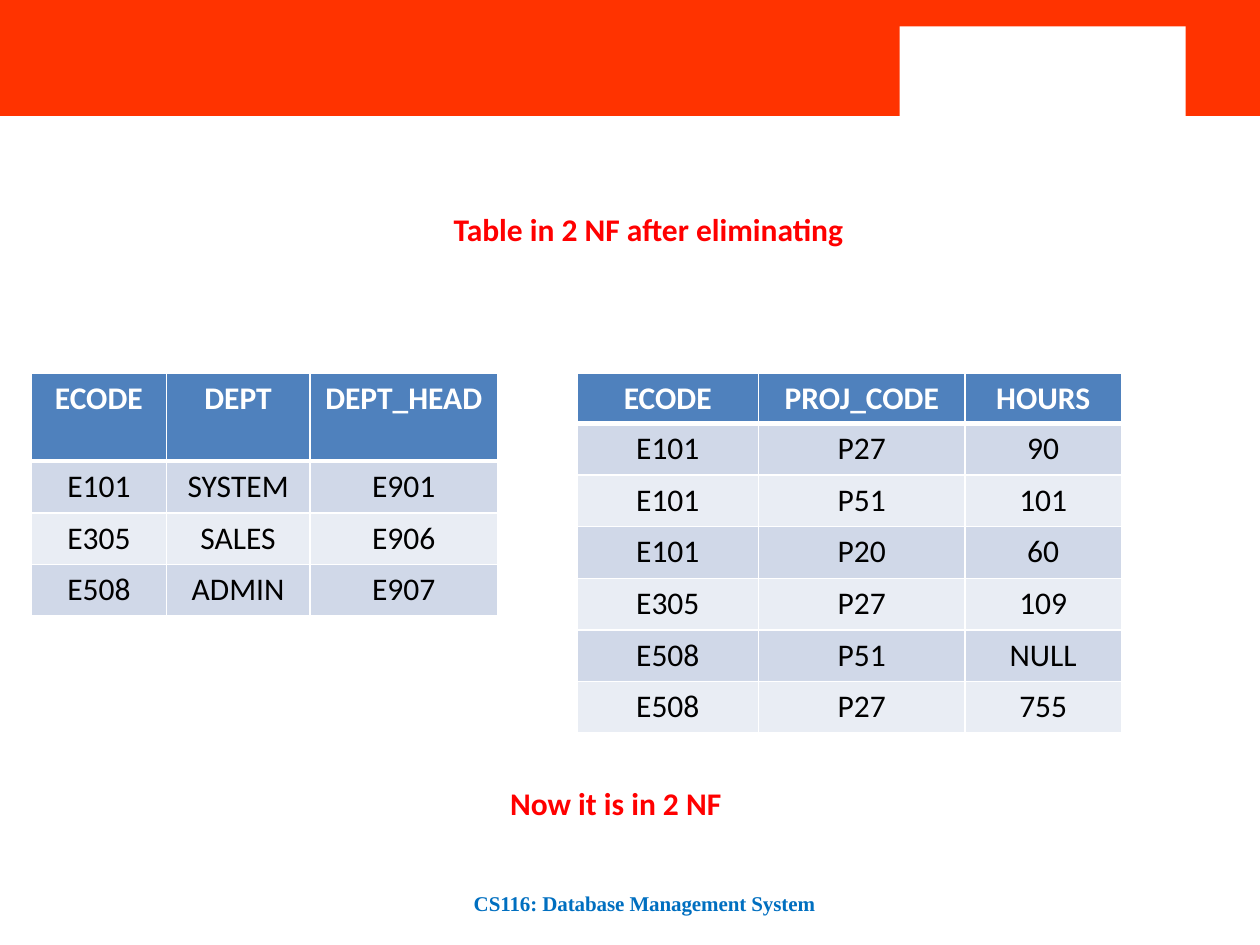
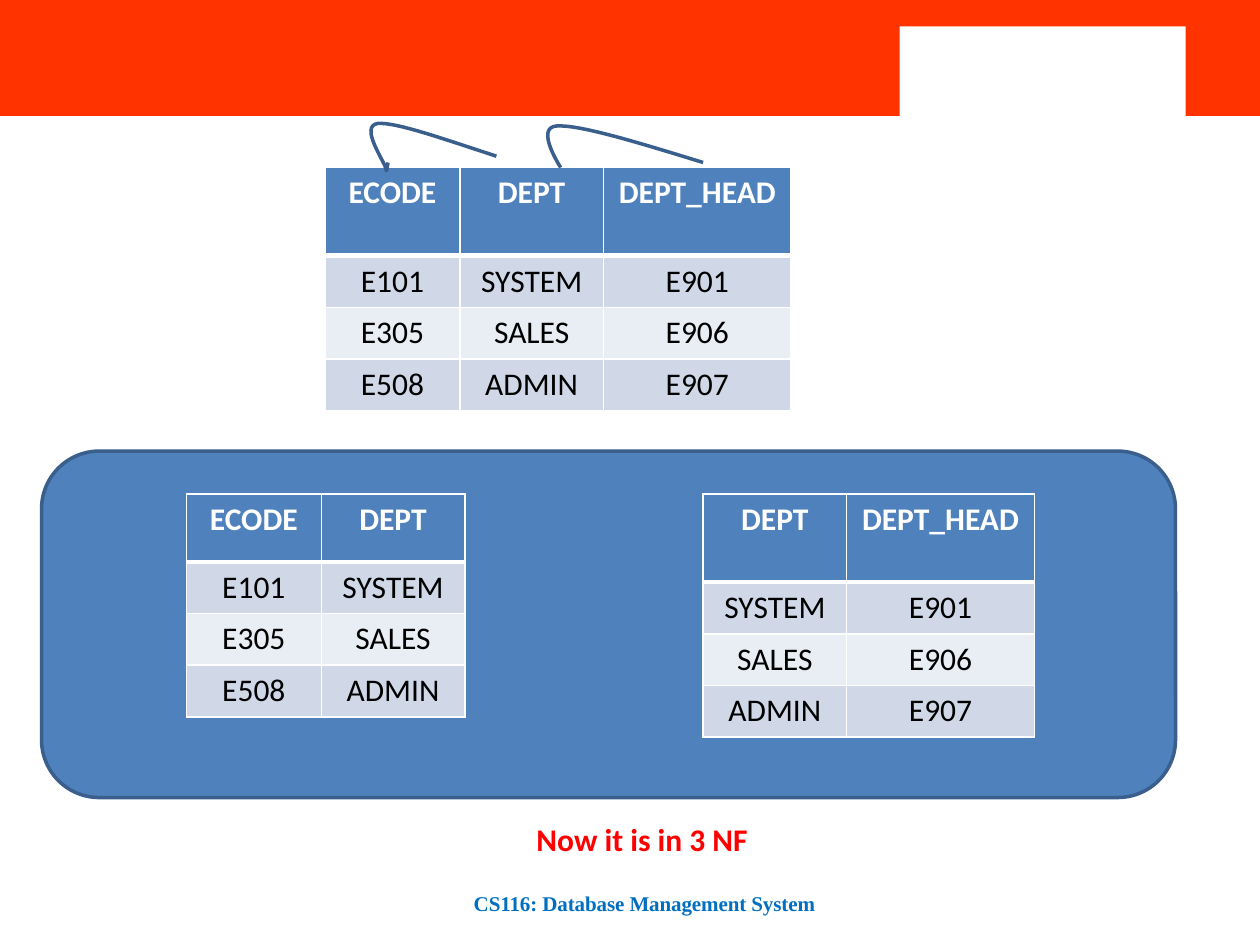
from lxml.etree import SubElement
from pptx import Presentation
from pptx.dml.color import RGBColor
from pptx.enum.shapes import MSO_SHAPE
from pptx.enum.text import MSO_ANCHOR, MSO_AUTO_SIZE, PP_ALIGN
from pptx.oxml.ns import qn
from pptx.util import Inches, Pt

COLORS = {
    "band": "FF3300",
    "white": "FFFFFF",
    "black": "000000",
    "red": "FF0000",
    "footer": "006FC0",
    "header": "4F81BD",
    "outline": "3A5F8C",
    "odd": "D0D8E8",
    "even": "E9EDF4",
}
BANDS = [
    ("band", 0, 0, 10, 0.92),
    ("band", 6.72, 0, 3.28, 0.92),
    ("white", 7.14, 0.21, 2.27, 0.75),
]
FOOTER = "CS116: Database Management System"
BLANK, TITLE_ONLY = 6, 5
ROW_HEIGHT = 0.41
CURVE_STEPS = 16

DEPT_WIDTHS = [1.07, 1.14, 1.49]
DEPT_ROWS = [
    ["ECODE", "DEPT", "DEPT_HEAD"],
    ["E101", "SYSTEM", "E901"],
    ["E305", "SALES", "E906"],
    ["E508", "ADMIN", "E907"],
]
PROJECT_WIDTHS = [1.44, 1.64, 1.24]
PROJECT_ROWS = [
    ["ECODE", "PROJ_CODE", "HOURS"],
    ["E101", "P27", "90"],
    ["E101", "P51", "101"],
    ["E101", "P20", "60"],
    ["E305", "P27", "109"],
    ["E508", "P51", "NULL"],
    ["E508", "P27", "755"],
]
DEPT_TO_HEAD = [
    (5.58, 1.29), (5.09, 1.14), (4.61, 0.99), (4.42, 1),
    (4.24, 1.01), (4.45, 1.33), (4.45, 1.33),
]
ECODE_TO_DEPT = [
    (3.94, 1.24), (3.54, 1.11), (3.15, 0.97), (3, 0.98),
    (2.85, 1), (3.05, 1.28), (3.06, 1.33),
    (3.07, 1.38), (3.07, 1.34), (3.08, 1.29),
]


def rgb(name):
    """Return the named palette colour."""
    return RGBColor.from_string(COLORS[name])


def bezier(a, b, c, d, t):
    """Return the point at t on a cubic curve."""
    u = 1 - t
    return tuple(
        u**3 * p + 3 * u * u * t * q + 3 * u * t * t * r + t**3 * s
        for p, q, r, s in zip(a, b, c, d)
    )


class Deck:
    """Holds the shared style and the slide being built."""

    def __init__(self):
        """Open an empty presentation."""
        self.prs = Presentation()
        self.prs.slide_width, self.prs.slide_height = Inches(10), Inches(7.5)

    def new_slide(self, layout=BLANK):
        """Start a slide with its bands and footer."""
        self.s = self.prs.slides.add_slide(self.prs.slide_layouts[layout])
        for color, *box in BANDS:
            self.shape(MSO_SHAPE.RECTANGLE, box, color)
        self.footer()

    def shape(self, kind, box, fill, line=None):
        """Add a filled preset shape."""
        sp = self.s.shapes.add_shape(kind, *map(Inches, box))
        sp.shadow.inherit = False
        sp.fill.solid()
        sp.fill.fore_color.rgb = rgb(fill)
        self.outline(sp, line)

    def outline(self, sp, line):
        """Set or remove the outline of a shape."""
        if line:
            sp.line.color.rgb = rgb(line)
            sp.line.width = Pt(2)
        else:
            sp.line.fill.background()

    def run(self, p, text, color, size=18, bold=True, font="Calibri"):
        """Add a formatted run to a paragraph."""
        r = p.add_run()
        r.text = text
        r.font.name, r.font.size, r.font.bold = font, Pt(size), bold
        r.font.color.rgb = rgb(color)
        return r

    def footer(self):
        """Add the course name at the foot."""
        sp = self.s.shapes.add_textbox(*map(Inches, (3.75, 7.07, 3.08, 0.2)))
        tf = sp.text_frame
        tf.word_wrap = True
        tf.margin_left = Inches(0.01)
        tf.margin_top = tf.margin_right = tf.margin_bottom = 0
        p = tf.paragraphs[0]
        p.line_spacing = Pt(14.1)
        r = self.run(p, FOOTER, "footer", 12, font="Times New Roman")
        r.font._element.set("spc", "-5")

    def message(self, sp, text):
        """Write a one-line red message in a shape."""
        tf = sp.text_frame
        tf.word_wrap = False
        tf.auto_size = MSO_AUTO_SIZE.SHAPE_TO_FIT_TEXT
        tf.vertical_anchor = MSO_ANCHOR.TOP
        p = tf.paragraphs[0]
        p.alignment = PP_ALIGN.LEFT
        self.run(p, text, "red")

    def title(self, text, left, top, width):
        """Place and fill the title placeholder."""
        sp = self.s.shapes.title
        sp.left, sp.top, sp.width, sp.height = map(Inches, (left, top, width, 0.4))
        self.message(sp, text)

    def caption(self, text, left, top, width):
        """Add a red caption."""
        box = map(Inches, (left, top, width, 0.4))
        self.message(self.s.shapes.add_textbox(*box), text)

    def table(self, rows, widths, left, top, header_height):
        """Add a centred table with a header and banded rows."""
        heights = [header_height] + [ROW_HEIGHT] * (len(rows) - 1)
        box = map(Inches, (left, top, sum(widths), sum(heights)))
        table = self.s.shapes.add_table(len(rows), len(widths), *box).table
        table.horz_banding = False
        for column, width in zip(table.columns, widths):
            column.width = Inches(width)
        for i, (row, height) in enumerate(zip(rows, heights)):
            table.rows[i].height = Inches(height)
            fill = "header" if i == 0 else "odd" if i % 2 else "even"
            for j, text in enumerate(row):
                cell = table.cell(i, j)
                self.borders(cell, i)
                cell.fill.solid()
                cell.fill.fore_color.rgb = rgb(fill)
                p = cell.text_frame.paragraphs[0]
                p.alignment = PP_ALIGN.CENTER
                self.run(p, text, "black" if i else "white", bold=i == 0)

    def borders(self, cell, row):
        """Draw white cell borders, heavier under the header."""
        heavy = {0: "lnB", 1: "lnT"}.get(row)
        tcPr = cell._tc.get_or_add_tcPr()
        for side in ("lnL", "lnR", "lnT", "lnB"):
            width = Pt(3 if side == heavy else 1)
            ln = SubElement(tcPr, qn(f"a:{side}"), w=str(width))
            fill = SubElement(ln, qn("a:solidFill"))
            SubElement(fill, qn("a:srgbClr"), val=COLORS["white"])

    def curve(self, points):
        """Draw an open line along chained cubic curves."""
        points = [(Inches(x), Inches(y)) for x, y in points]
        path = [
            bezier(*points[i:i + 4], step / CURVE_STEPS)
            for i in range(0, len(points) - 1, 3)
            for step in range(1, CURVE_STEPS + 1)
        ]
        builder = self.s.shapes.build_freeform(*points[0])
        builder.add_line_segments(path, close=False)
        sp = builder.convert_to_shape()
        sp.shadow.inherit = False
        sp.fill.background()
        self.outline(sp, "outline")


def second_normal_form(deck):
    """Build the slide with the two tables in 2 NF."""
    deck.new_slide(TITLE_ONLY)
    deck.title("Table in 2 NF after eliminating", 3.5, 1.62, 3.33)
    deck.table(PROJECT_ROWS, PROJECT_WIDTHS, 4.58, 2.96, 0.4)
    deck.table(DEPT_ROWS, DEPT_WIDTHS, 0.25, 2.96, 0.7)
    deck.caption("Now it is in 2 NF", 3.95, 6.17, 1.9)


def third_normal_form(deck):
    """Build the slide that splits the department table into 3 NF."""
    deck.new_slide()
    deck.shape(MSO_SHAPE.ROUNDED_RECTANGLE, (0.33, 3.58, 9, 2.75), "header", "outline")
    deck.table(DEPT_ROWS, DEPT_WIDTHS, 2.58, 1.33, 0.7)
    deck.table([row[:2] for row in DEPT_ROWS], DEPT_WIDTHS[:2], 1.48, 3.92, 0.54)
    deck.table([row[1:] for row in DEPT_ROWS], DEPT_WIDTHS[1:], 5.58, 3.92, 0.7)
    deck.caption("Now it is in 3 NF", 4.16, 6.46, 1.9)
    for points in (DEPT_TO_HEAD, ECODE_TO_DEPT):
        deck.curve(points)


def main():
    """Build and save the presentation."""
    deck = Deck()
    second_normal_form(deck)
    third_normal_form(deck)
    deck.prs.save("out.pptx")


if __name__ == "__main__":
    main()
